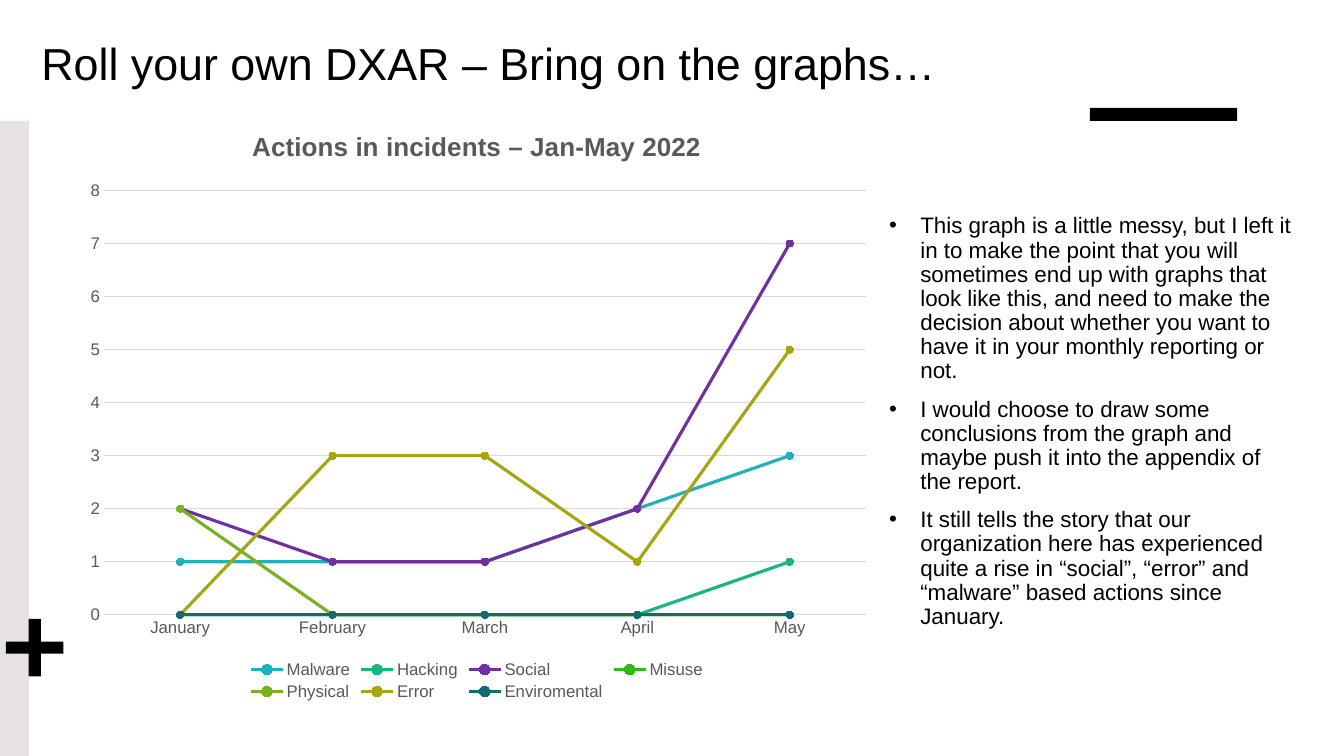
from typing import NamedTuple

from lxml import etree
from pptx import Presentation
from pptx import util as u
from pptx.chart.data import CategoryChartData
from pptx.dml.color import RGBColor
from pptx.enum import chart as ch, shapes, text
from pptx.oxml import parse_xml
from pptx.oxml.ns import nsdecls, qn

FONT = "Arial"
BLACK, GREY, GRID = "000000", "595959", "D9D9D9"


class Box(NamedTuple):
    left: float
    top: float
    width: float
    height: float

    def lengths(self) -> list[u.Length]:
        return [u.Inches(v) for v in self]


class Decoration(NamedTuple):
    kind: shapes.MSO_SHAPE
    box: Box
    color: str


class Action(NamedTuple):
    name: str
    counts: tuple[int, ...]
    color: str


DECORATIONS = [
    Decoration(shapes.MSO_SHAPE.RECTANGLE, Box(10.81, 1.07, 1.46, 0.13), BLACK),
    Decoration(shapes.MSO_SHAPE.RECTANGLE, Box(0, 1.2, 0.29, 6.3), "E8E2E2"),
    Decoration(shapes.MSO_SHAPE.CROSS, Box(0.06, 6.14, 0.57, 0.57), BLACK),
]
MONTHS = ["January", "February", "March", "April", "May"]
ACTIONS = [
    Action("Malware", (1, 1, 1, 2, 3), "21B1BC"),
    Action("Hacking", (0, 0, 0, 0, 1), "14B87F"),
    Action("Social", (2, 1, 1, 2, 7), "7030A0"),
    Action("Misuse", (0, 0, 0, 0, 0), "32BA14"),
    Action("Physical", (2, 0, 0, 0, 0), "77B220"),
    Action("Error", (0, 3, 3, 1, 5), "A7A512"),
    Action("Enviromental", (0, 0, 0, 0, 0), "146A71"),
]
COMMENTS = [
    "This graph is a little messy, but I left it in to make the point that you "
    "will sometimes end up with graphs that look like this, and need to make the "
    "decision about whether you want to have it in your monthly reporting or not.",
    "I would choose to draw some conclusions from the graph and maybe push it "
    "into the appendix of the report.",
    "It still tells the story that our organization here has experienced quite a "
    "rise in “social”, “error” and “malware” based actions since January.",
]


def rgb(color: str) -> RGBColor:
    return RGBColor.from_string(color)


def set_font(font, size: float, color: str, bold: bool = False) -> None:
    font.name, font.size, font.bold = FONT, u.Pt(size), bold
    font.color.rgb = rgb(color)


def set_line(line, color: str, width: float) -> None:
    line.color.rgb = rgb(color)
    line.width = u.Pt(width)


def add_decoration(s, item: Decoration) -> None:
    sp = s.shapes.add_shape(item.kind, *item.box.lengths())
    sp.shadow.inherit = False
    sp.fill.solid()
    sp.fill.fore_color.rgb = rgb(item.color)
    sp.line.fill.background()
    if item.kind == shapes.MSO_SHAPE.CROSS:
        sp.adjustments[0] = 0.395


def set_title(s, title: str, box: Box) -> None:
    sp = s.shapes.title
    sp.left, sp.top, sp.width, sp.height = box.lengths()
    tf = sp.text_frame
    tf.text = title
    tf.vertical_anchor = text.MSO_ANCHOR.BOTTOM
    tf.auto_size = text.MSO_AUTO_SIZE.NONE
    p = tf.paragraphs[0]
    p.alignment = text.PP_ALIGN.LEFT
    set_font(p.runs[0].font, 32, BLACK)


def add_bullets(s, lines: list[str], box: Box) -> None:
    tf = s.shapes.add_textbox(*box.lengths()).text_frame
    tf.word_wrap = True
    tf.text = "\n".join(lines)
    for p in tf.paragraphs:
        p.line_spacing = 0.9
        p.space_before = u.Pt(10)
        set_font(p.runs[0].font, 16, BLACK)
        pPr = p._p.get_or_add_pPr()
        pPr.set("marL", str(u.Inches(0.56)))
        pPr.set("indent", str(u.Inches(-0.31)))
        etree.SubElement(pPr, qn("a:buFont")).set("typeface", FONT)
        etree.SubElement(pPr, qn("a:buChar")).set("char", "•")


def place_plot(chart, box: Box) -> None:
    """Fix the inner plot area, in fractions of the chart."""
    area = chart._chartSpace.chart.plotArea
    for old in area.findall(qn("c:layout")):
        area.remove(old)
    values = "".join(f'<c:{k} val="{v}"/>' for k, v in zip("xywh", box))
    area.insert(0, parse_xml(
        f'<c:layout {nsdecls("c")}><c:manualLayout><c:layoutTarget val="inner"/>'
        f'<c:xMode val="edge"/><c:yMode val="edge"/>{values}'
        "</c:manualLayout></c:layout>"))


def add_actions_chart(s, title: str, box: Box) -> None:
    data = CategoryChartData()
    data.categories = MONTHS
    for action in ACTIONS:
        data.add_series(action.name, action.counts)
    chart = s.shapes.add_chart(
        ch.XL_CHART_TYPE.LINE_MARKERS, *box.lengths(), data).chart
    set_font(chart.font, 10, BLACK)

    chart.has_title = True
    tf = chart.chart_title.text_frame
    tf.text = title
    set_font(tf.paragraphs[0].runs[0].font, 18.6, GREY, bold=True)
    chart.chart_title.include_in_layout = False

    chart.has_legend = True
    chart.legend.position = ch.XL_LEGEND_POSITION.BOTTOM
    chart.legend.include_in_layout = False
    set_font(chart.legend.font, 12, GREY)

    for axis in (chart.category_axis, chart.value_axis):
        axis.major_tick_mark = axis.minor_tick_mark = ch.XL_TICK_MARK.NONE
        set_font(axis.tick_labels.font, 12, GREY)
    set_line(chart.category_axis.format.line, GRID, 0.75)
    values = chart.value_axis
    values.minimum_scale, values.maximum_scale, values.major_unit = 0, 8, 1
    values.format.line.fill.background()
    set_line(values.major_gridlines.format.line, GRID, 0.75)

    plot = chart.plots[0]
    plot.vary_by_categories = False
    for series, action in zip(plot.series, ACTIONS):
        series.smooth = False
        set_line(series.format.line, action.color, 2.25)
        marker = series.marker
        marker.style, marker.size = ch.XL_MARKER_STYLE.CIRCLE, 5
        marker.format.fill.solid()
        marker.format.fill.fore_color.rgb = rgb(action.color)
        set_line(marker.format.line, action.color, 0.75)
    place_plot(chart, Box(0.04, 0.14, 0.94, 0.71))


def main() -> None:
    prs = Presentation()
    prs.slide_width, prs.slide_height = u.Inches(13.33), u.Inches(7.5)
    s = prs.slides.add_slide(prs.slide_layouts.get_by_name("Title Only"))
    for item in DECORATIONS:
        add_decoration(s, item)
    set_title(s, "Roll your own DXAR – Bring on the graphs…",
              Box(0.31, 0.28, 9.29, 0.66))
    add_bullets(s, COMMENTS, Box(8.47, 2.08, 4.5, 4.65))
    add_actions_chart(s, "Actions in incidents – Jan-May 2022",
                      Box(0.71, 1.06, 8.04, 5.93))
    prs.save("out.pptx")


if __name__ == "__main__":
    main()
